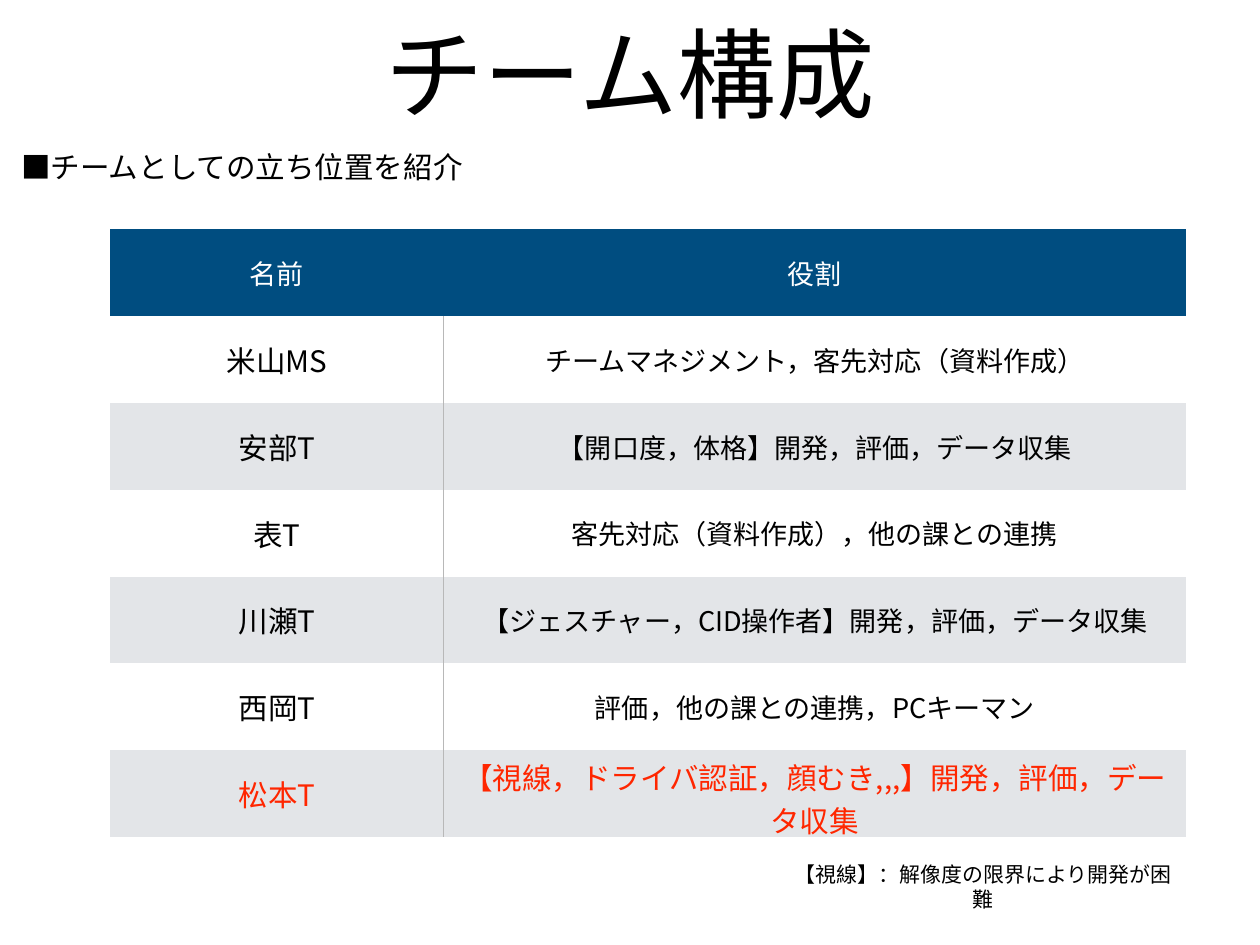
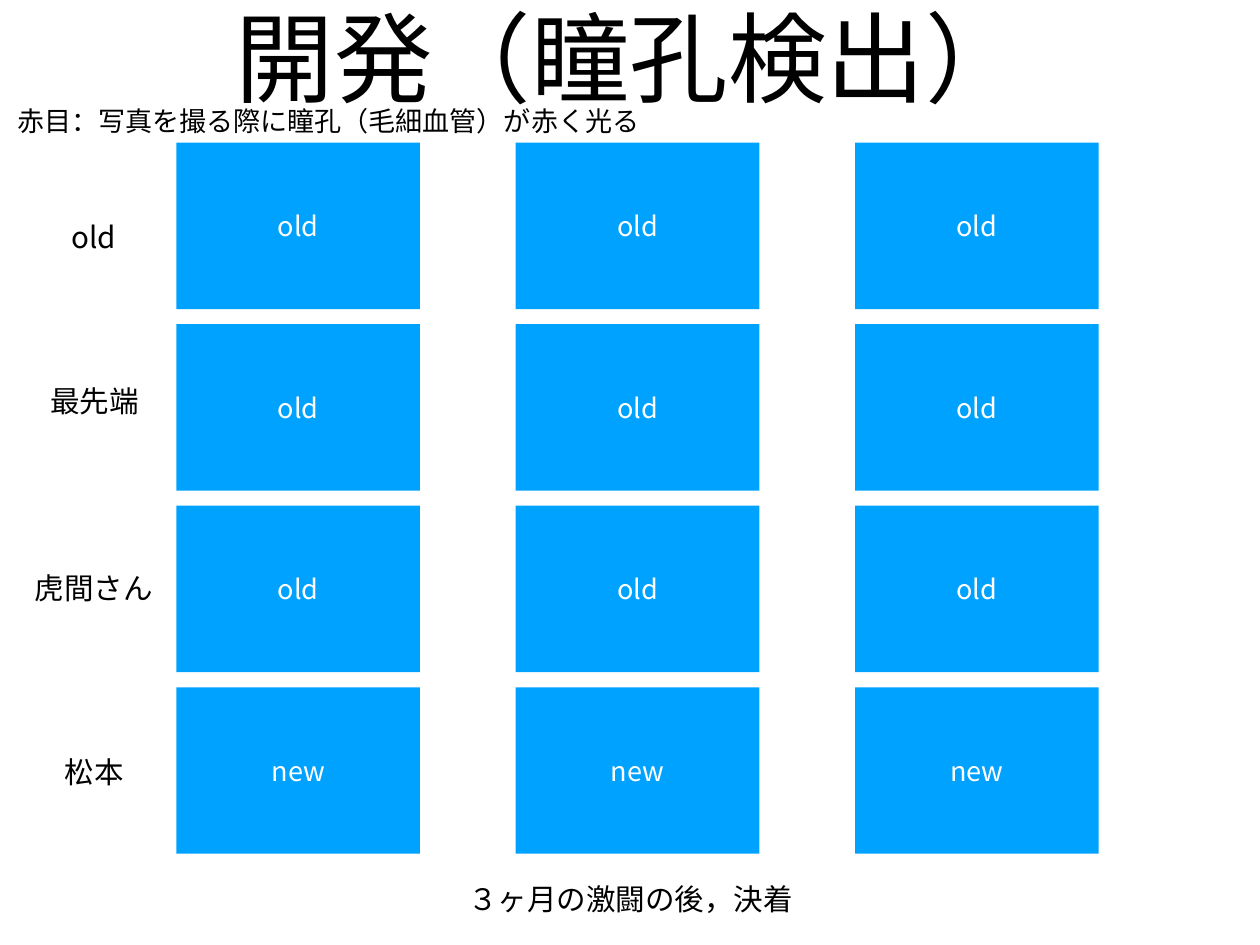
import pptx
import pptx.util
import pptx.dml.color
import pptx.enum.shapes
import pptx.enum.text
import pptx.oxml
import pptx.oxml.ns
from dataclasses import dataclass
from lxml import etree

Inches = pptx.util.Inches
qn = pptx.oxml.ns.qn


@dataclass(frozen=True)
class Theme:
    face: str = "Noto Sans CJK JP"
    ink: str = "000000"
    white: str = "FFFFFF"
    navy: str = "004D80"
    band: str = "E3E5E8"
    rule: str = "B8B8B8"
    red: str = "FF2600"
    blue: str = "00A2FF"
    title: int = 80
    label: int = 24
    body: int = 22
    note: int = 17
    pad: float = 0.06
    plain: str = "{2D5ABB26-0587-4C30-8999-92F81FD0307C}"


def tint(code):
    return pptx.dml.color.RGBColor.from_string(code)


class Deck:
    def __init__(self, theme):
        self.theme = theme
        self.file = pptx.Presentation()
        self.file.slide_width = Inches(14.22)
        self.file.slide_height = Inches(10.67)
        self.slide = None

    def page(self, title, top):
        self.slide = self.file.slides.add_slide(self.file.slide_layouts[6])
        self.text(title, 1.04, top, 12.14, 2.36, self.theme.title, wrap=True)

    def style(self, frame, words, size, color):
        frame.text = words
        para = frame.paragraphs[0]
        para.alignment = pptx.enum.text.PP_ALIGN.CENTER
        font = para.font
        font.size = pptx.util.Pt(size)
        font.name = self.theme.face
        font.bold = False
        font.color.rgb = tint(color)
        latin = para._p.find(".//" + qn("a:latin"))
        east = etree.Element(qn("a:ea"), typeface=self.theme.face)
        latin.addnext(east)

    def inset(self, item):
        pad = Inches(self.theme.pad)
        item.margin_left = item.margin_right = pad
        item.margin_top = item.margin_bottom = pad
        item.vertical_anchor = pptx.enum.text.MSO_ANCHOR.MIDDLE

    def text(self, words, left, top, width, height, size, wrap=False):
        box = self.slide.shapes.add_textbox(
            Inches(left), Inches(top), Inches(width), Inches(height))
        frame = box.text_frame
        frame.word_wrap = wrap
        self.inset(frame)
        self.style(frame, words, size, self.theme.ink)

    def block(self, words, left, top, width, height):
        box = self.slide.shapes.add_shape(
            pptx.enum.shapes.MSO_SHAPE.RECTANGLE,
            Inches(left), Inches(top), Inches(width), Inches(height))
        box.shadow.inherit = False
        box.fill.solid()
        box.fill.fore_color.rgb = tint(self.theme.blue)
        box.line.fill.background()
        box.text_frame.word_wrap = True
        self.inset(box.text_frame)
        self.style(box.text_frame, words, self.theme.body, self.theme.white)

    def edge(self, cell, side):
        props = cell._tc.get_or_add_tcPr()
        line = etree.Element(qn("a:" + side), w=str(pptx.util.Pt(1)))
        fill = etree.SubElement(line, qn("a:solidFill"))
        etree.SubElement(fill, qn("a:srgbClr"), val=self.theme.rule)
        props.insert(0, line)

    def cell(self, cell, words, size, color, fill):
        self.inset(cell)
        self.style(cell.text_frame, words, size, color)
        cell.fill.solid()
        cell.fill.fore_color.rgb = tint(fill)

    def table(self, rows, left, top, widths, height):
        look = self.theme
        grid = self.slide.shapes.add_table(
            len(rows), len(widths), Inches(left), Inches(top),
            Inches(sum(widths)), Inches(height * len(rows))).table
        grid.first_row = grid.horz_banding = False
        grid._tbl.tblPr.find(qn("a:tableStyleId")).text = look.plain
        for col, width in zip(grid.columns, widths):
            col.width = Inches(width)
        for r, row in enumerate(rows):
            grid.rows[r].height = Inches(height)
            head, last = r == 0, r == len(rows) - 1
            fill = look.navy if head else look.white if r % 2 else look.band
            color = look.white if head else look.red if last else look.ink
            for c, words in enumerate(row):
                big = last or (c == 0 and not head)
                size = look.label if big else look.body
                cell = grid.cell(r, c)
                self.cell(cell, words, size, color, fill)
                if not head:
                    self.edge(cell, "lnL" if c else "lnR")


def team(deck):
    look = deck.theme
    deck.page("チーム構成", -0.37)
    rows = [
        ("名前", "役割"),
        ("米山MS", "チームマネジメント，客先対応（資料作成）"),
        ("安部T", "【開口度，体格】開発，評価，データ収集"),
        ("表T", "客先対応（資料作成），他の課との連携"),
        ("川瀬T", "【ジェスチャー，CID操作者】開発，評価，データ収集"),
        ("西岡T", "評価，他の課との連携，PCキーマン"),
        ("松本T", "【視線，ドライバ認証，顔むき,,,】開発，評価，データ収集"),
    ]
    deck.table(rows, 1.24, 2.59, (3.77, 8.37), 0.98)
    deck.text("■チームとしての立ち位置を紹介", 0.18, 1.66, 5.1, 0.44, look.label)
    deck.text("【視線】：解像度の限界により開発が困難",
              8.79, 9.84, 4.61, 0.35, look.note)


def pupil(deck):
    look = deck.theme
    deck.page("開発（瞳孔検出）", -0.55)
    rows = [
        ("old", "old", 0.72, 2.45, 0.67),
        ("最先端", "old", 0.5, 4.3, 1.13),
        ("虎間さん", "old", 0.33, 6.42, 1.46),
        ("松本", "new", 0.67, 8.49, 0.79),
    ]
    for r, (name, state, left, top, width) in enumerate(rows):
        for c in range(3):
            deck.block(state, 1.99 + 3.83 * c, 1.61 + 2.05 * r, 2.75, 1.88)
        deck.text(name, left, top, width, 0.44, look.label)
    deck.text("赤目：写真を撮る際に瞳孔（毛細血管）が赤く光る",
              0.13, 1.15, 7.15, 0.42, look.body)
    deck.text("３ヶ月の激闘の後，決着", 5.22, 9.93, 3.79, 0.44, look.label)


def main():
    deck = Deck(Theme())
    team(deck)
    pupil(deck)
    deck.file.save("out.pptx")


if __name__ == "__main__":
    main()
